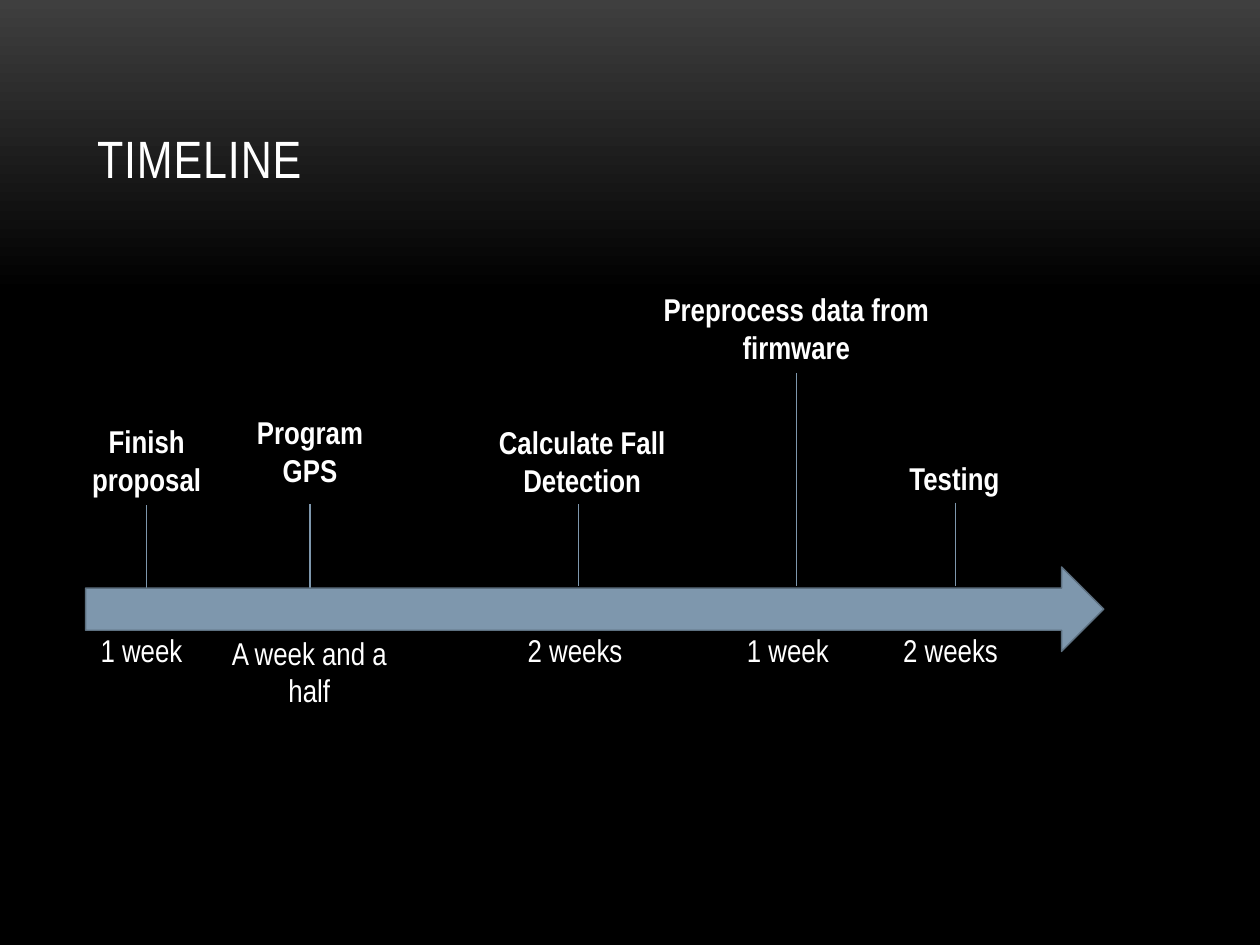
from pptx import Presentation
from pptx.dml.color import RGBColor
from pptx.enum.shapes import MSO_CONNECTOR, MSO_SHAPE
from pptx.enum.text import MSO_ANCHOR, MSO_AUTO_SIZE, PP_ALIGN
from pptx.oxml.ns import qn
from pptx.util import Inches, Pt
from lxml.etree import SubElement

WHITE = RGBColor(0xFF, 0xFF, 0xFF)
BLACK = RGBColor(0, 0, 0)
GRAY = RGBColor(0x3F, 0x3F, 0x3F)
BLUE = RGBColor(0x7E, 0x97, 0xAD)
SLATE = RGBColor(0x5D, 0x70, 0x80)


def add_run(para, text, size, bold=False):
    run = para.add_run()
    run.text = text
    run.font.name = "Arial Narrow"
    run.font.size = Pt(size)
    run.font.bold = bold
    run.font.color.rgb = WHITE
    return run


def add_label(text, left, top, width, height, bold=False):
    box = slide.shapes.add_textbox(
        Inches(left), Inches(top), Inches(width), Inches(height))
    frame = box.text_frame
    frame.word_wrap = height > 0.4
    frame.auto_size = MSO_AUTO_SIZE.SHAPE_TO_FIT_TEXT
    para = frame.paragraphs[0]
    para.alignment = PP_ALIGN.CENTER if frame.word_wrap else PP_ALIGN.LEFT
    add_run(para, text, 18, bold)
    return box


deck = Presentation()
deck.slide_width, deck.slide_height = Inches(10), Inches(7.5)
slide = deck.slides.add_slide(deck.slide_layouts[5])

# Background: gray at the top, fading to black
fill = slide.background.fill
fill.gradient()
fill.gradient_angle = 270
for stop, color, place in zip(fill.gradient_stops, (GRAY, BLACK), (0, 0.31)):
    stop.color.rgb = color
    stop.position = place

# Title
title = slide.shapes.title
title.left, title.top = Inches(0.67), Inches(0.3)
title.width, title.height = Inches(8.67), Inches(1.25)
frame = title.text_frame
frame.auto_size = MSO_AUTO_SIZE.NONE
frame.vertical_anchor = MSO_ANCHOR.BOTTOM
frame.paragraphs[0].alignment = PP_ALIGN.LEFT
run = add_run(frame.paragraphs[0], "TIMELINE", 30)
run.font._element.set("spc", "50")

# Milestones: text, label box, then stem x, top, bottom and whether it joins
tasks = [
    ("Finish proposal", (0.58, 3.3, 1.17, 0.71), (1.17, 4, 4.67), True),
    ("Program GPS", (1.75, 3.23, 1.42, 0.71), (2.46, 4, 4.67), False),
    ("Calculate Fall Detection", (3.83, 3.31, 1.58, 0.71), (4.59, 4, 4.65), False),
    ("Preprocess data from firmware", (5.11, 2.25, 2.42, 0.71), (6.32, 2.94, 4.65), True),
    ("Testing", (7.12, 3.59, 0.93, 0.4), (7.58, 4, 4.65), True),
]
labels = [add_label(text, *area, bold=True) for text, area, stem, join in tasks]

for label, (text, area, (x, top, bottom), join) in zip(labels, tasks):
    line = slide.shapes.add_connector(
        MSO_CONNECTOR.STRAIGHT, Inches(x), Inches(top), Inches(x), Inches(bottom))
    if join:
        line.begin_connect(label, 2)
        line.end_x = line.begin_x
    line.line.color.rgb = BLUE
    line.line.width = Pt(0.75)
    SubElement(line._element.spPr, qn("a:effectLst"))

# Time arrow
arrow = slide.shapes.add_shape(
    MSO_SHAPE.RIGHT_ARROW, Inches(0.68), Inches(4.5), Inches(8.08), Inches(0.67))
arrow.shadow.inherit = False
arrow.fill.solid()
arrow.fill.fore_color.rgb = BLUE
arrow.line.color.rgb = SLATE
arrow.line.width = Pt(0.85)

# Durations below the arrow
for text, left, top, width, height in [
    ("1 week", 0.7, 4.96, 0.93, 0.4),
    ("A week and a half", 1.69, 4.98, 1.53, 0.71),
    ("2 weeks", 4.09, 4.96, 1.03, 0.4),
    ("1 week", 5.83, 4.96, 0.93, 0.4),
    ("2 weeks", 7.07, 4.96, 1.03, 0.4),
]:
    add_label(text, left, top, width, height)

deck.save("out.pptx")
